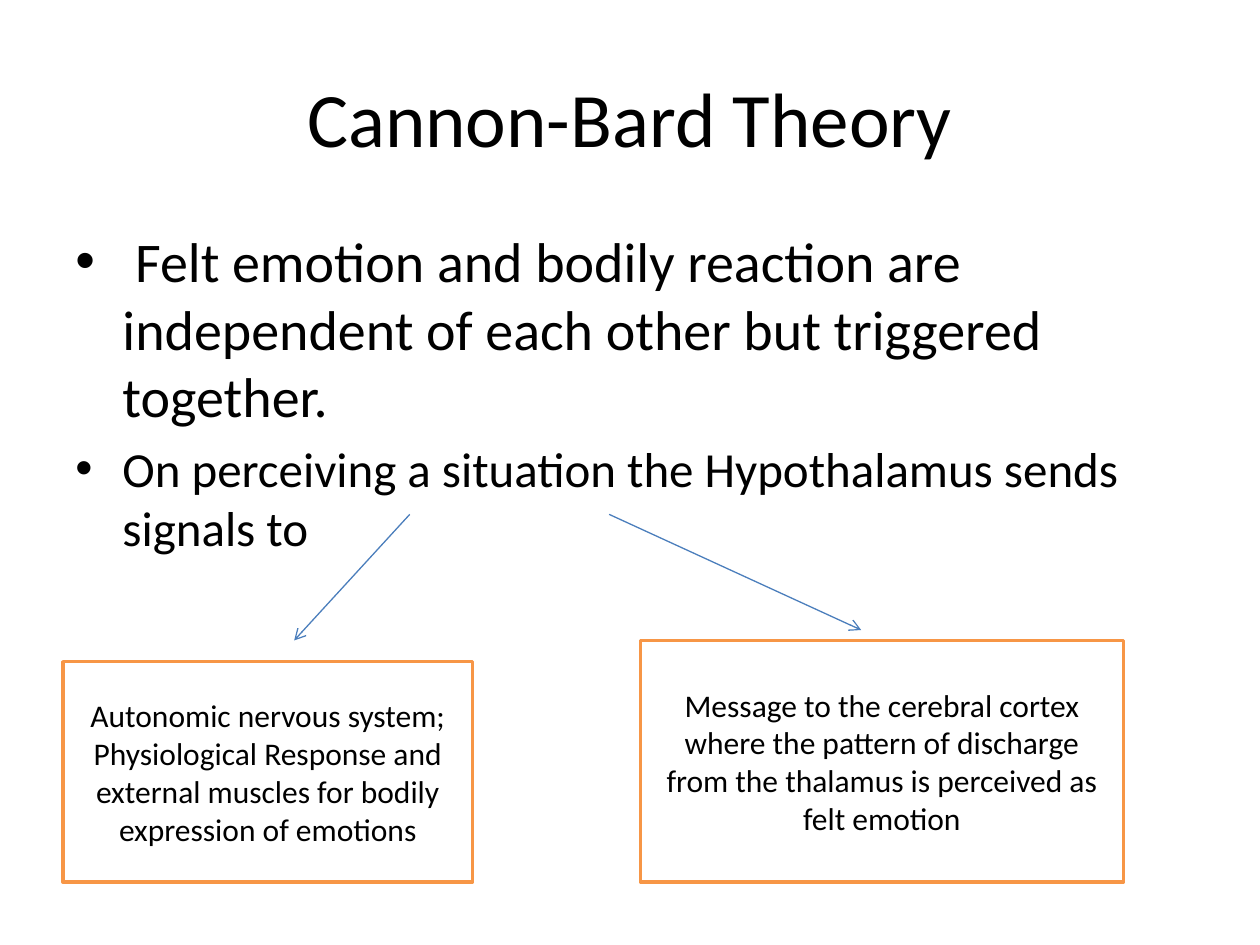
from lxml.etree import SubElement
from pptx import Presentation
from pptx.dml.color import RGBColor
from pptx.enum.shapes import MSO_CONNECTOR as Connector, MSO_SHAPE as Shape
from pptx.enum.text import MSO_ANCHOR as Anchor, PP_ALIGN as Align
from pptx.oxml.ns import qn
from pptx.util import Cm, Pt

FONT, INK, PAPER, ORANGE, BLUE = "Calibri", "000000", "FFFFFF", "F79646", "4B7EBC"
TITLE = "Cannon-Bard Theory"
POINTS = [
    ("\u00a0Felt emotion and bodily reaction are independent of each other but triggered together.", 32),
    ("On perceiving a situation the Hypothalamus sends signals to", 28),
]
TARGETS = [
    ("Autonomic nervous system; Physiological Response and external muscles for bodily expression of emotions",
     (1.27, 13.34, 8.26, 4.44)),
    ("Message to the cerebral cortex where the pattern of discharge from the thalamus is perceived as felt emotion",
     (12.91, 12.91, 9.74, 4.87)),
]
SIGNALS = [(8.26, 10.37, 5.93, 12.91), (12.28, 10.37, 17.36, 12.7)]
HANGING = Cm(0.95)


def color(value):
    """Turn a hex string into a colour."""
    return RGBColor.from_string(value)


def cm(lengths):
    """Turn numbers into centimetre lengths."""
    return [Cm(length) for length in lengths]


def write(paragraph, text, size, align):
    """Put formatted text into a paragraph."""
    paragraph.text = text
    paragraph.alignment = align
    font = paragraph.runs[0].font
    font.name, font.size = FONT, Pt(size)
    font.color.rgb = color(INK)


def add_frame(slide, box, anchor):
    """Add a wrapping text box and return its frame."""
    frame = slide.shapes.add_textbox(*cm(box)).text_frame
    frame.word_wrap = True
    frame.vertical_anchor = anchor
    return frame


def add_point(paragraph, text, size):
    """Write one bulleted point with a hanging indent."""
    write(paragraph, text, size, Align.LEFT)
    paragraph.space_before = Pt(size * 0.2)
    properties = paragraph._p.get_or_add_pPr()
    properties.set("marL", str(HANGING))
    properties.set("indent", str(-HANGING))
    SubElement(properties, qn("a:buFont"), typeface="Arial")
    SubElement(properties, qn("a:buChar"), char="•")


def add_target(slide, text, box):
    """Add one outlined box that receives a signal."""
    target = slide.shapes.add_shape(Shape.RECTANGLE, *cm(box))
    target.shadow.inherit = False
    target.fill.solid()
    target.fill.fore_color.rgb = color(PAPER)
    target.line.color.rgb = color(ORANGE)
    target.line.width = Pt(2)
    target.text_frame.word_wrap = True
    target.text_frame.vertical_anchor = Anchor.MIDDLE
    write(target.text_frame.paragraphs[0], text, 18, Align.CENTER)


def add_signal(slide, ends):
    """Add one arrow to a target."""
    signal = slide.shapes.add_connector(Connector.STRAIGHT, *cm(ends))
    signal.line.color.rgb = color(BLUE)
    signal.line.width = Pt(0.75)
    SubElement(signal.line._get_or_add_ln(), qn("a:tailEnd"), type="arrow")
    SubElement(signal._element.spPr, qn("a:effectLst"))


deck = Presentation()
deck.slide_width, deck.slide_height = cm((25.4, 19.05))
slide = deck.slides.add_slide(deck.slide_layouts[6])

heading = add_frame(slide, (1.27, 0.76, 22.86, 3.18), Anchor.MIDDLE)
write(heading.paragraphs[0], TITLE, 44, Align.CENTER)

body = add_frame(slide, (1.27, 4.45, 22.86, 12.57), Anchor.TOP)
for index, (text, size) in enumerate(POINTS):
    add_point(body.add_paragraph() if index else body.paragraphs[0], text, size)

for text, box in TARGETS:
    add_target(slide, text, box)
for ends in SIGNALS:
    add_signal(slide, ends)

deck.save("out.pptx")
